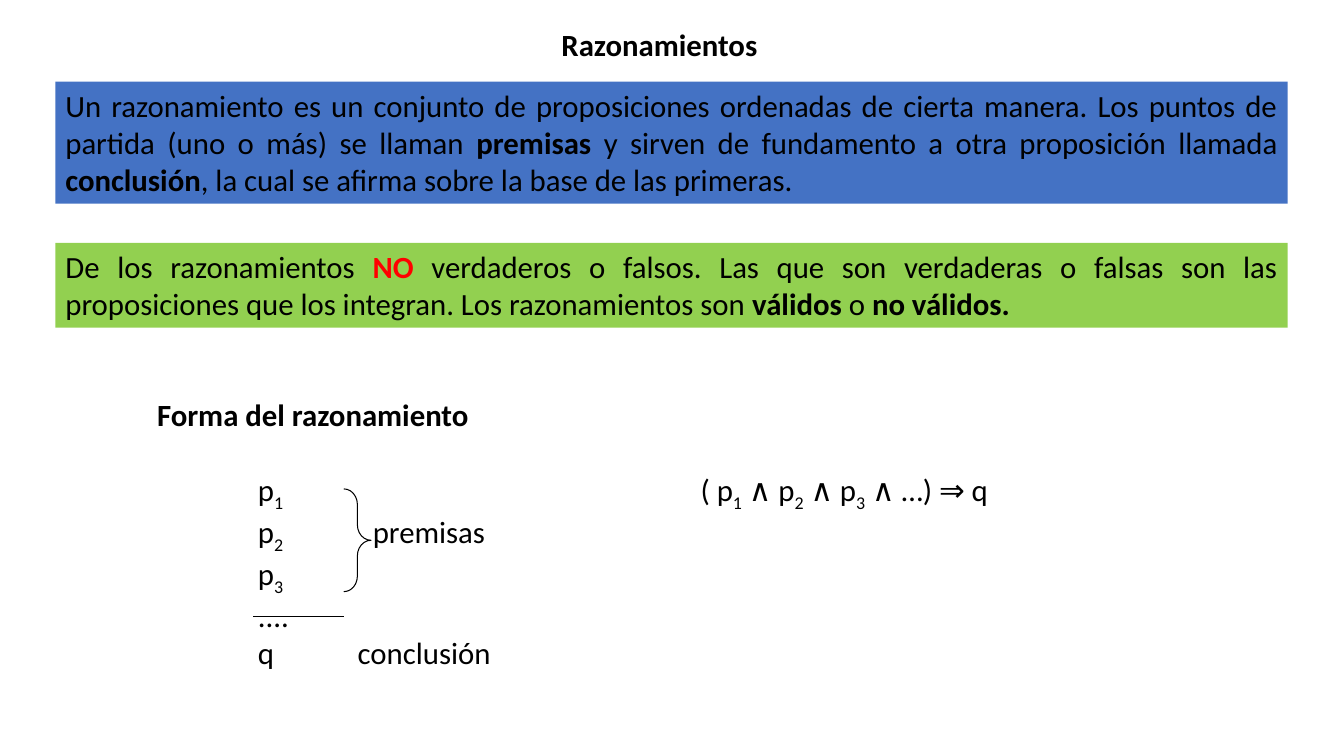
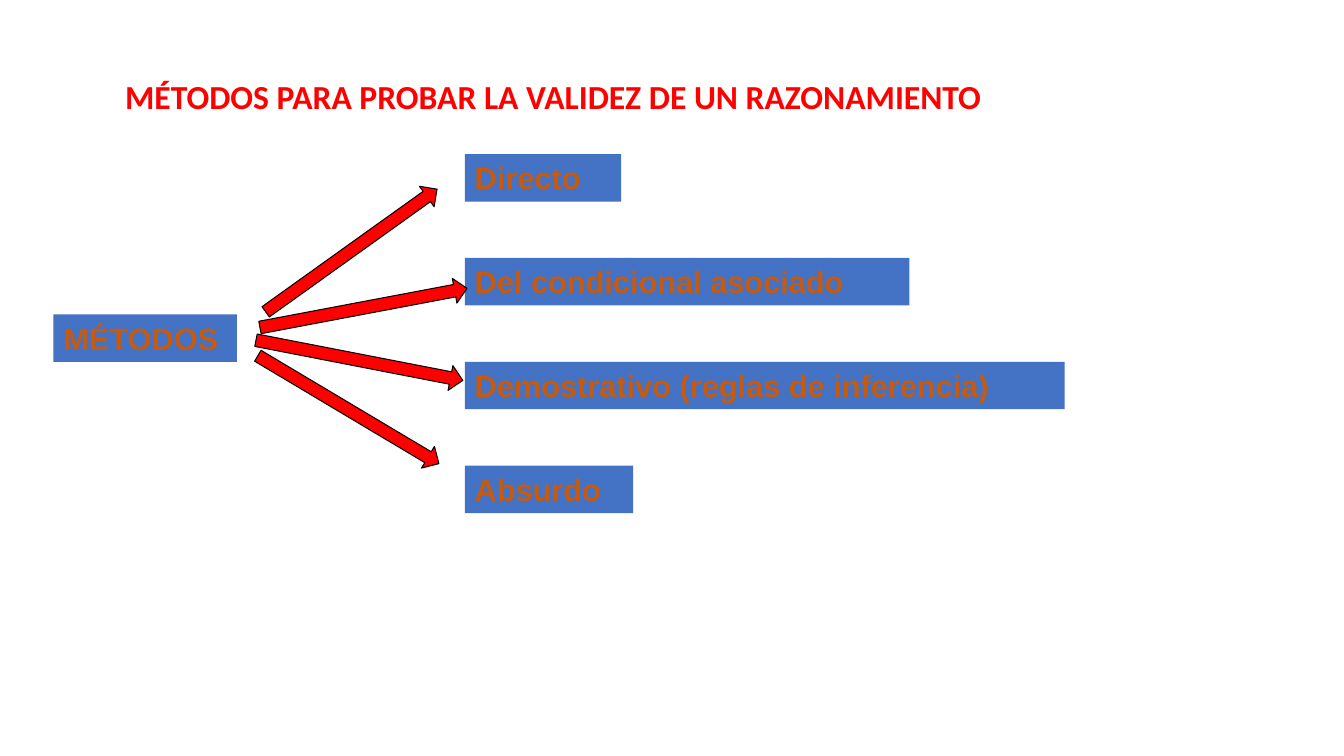
from lxml import etree
from pptx import Presentation
from pptx.dml.color import RGBColor
from pptx.enum import shapes, text
from pptx.oxml import ns
from pptx.util import Inches, Pt

# Shared colours, fonts and text styles
BLACK, RED, BLUE, GREEN, ORANGE = "000000", "FF0000", "4472C4", "92D050", "C55A11"
BODY_FONT, LABEL_FONT = "Calibri", "Arial"
BODY_SIZE = 22
LEFT, CENTER, JUSTIFY = text.PP_ALIGN.LEFT, text.PP_ALIGN.CENTER, text.PP_ALIGN.JUSTIFY
BOLD = {"bold": True}
WARNING = {"bold": True, "color": RED}
SUB = {"subscript": True}


def rgb(hex_color):
    return RGBColor.from_string(hex_color)


def box(left, top, width, height):
    return [Inches(value) for value in (left, top, width, height)]


def write(shape, lines, font=BODY_FONT, size=BODY_SIZE, color=BLACK, bold=False,
          align=LEFT):
    """Fill a shape with lines, each a list of (text, style) runs."""
    frame = shape.text_frame
    frame.word_wrap = True
    frame.auto_size = text.MSO_AUTO_SIZE.NONE
    frame.vertical_anchor = text.MSO_ANCHOR.TOP
    for index, runs in enumerate(lines):
        paragraph = frame.add_paragraph() if index else frame.paragraphs[0]
        paragraph.alignment = align
        paragraph.font.name = font
        paragraph.font.size = Pt(size)
        paragraph.font.bold = bold
        paragraph.font.color.rgb = rgb(color)
        for words, style in runs:
            run = paragraph.add_run()
            run.text = words
            if "bold" in style:
                run.font.bold = style["bold"]
            if "color" in style:
                run.font.color.rgb = rgb(style["color"])
            if "subscript" in style:
                run.font._element.set("baseline", "-25000")


def plain(words):
    return [[(words, {})]]


def indexed(letter, number):
    return [(letter, {}), (str(number), SUB)]


def add_titled_slide(deck, title, place, **style):
    slide = deck.slides.add_slide(deck.slide_layouts[5])
    heading = slide.shapes.title
    heading.left, heading.top, heading.width, heading.height = box(*place)
    write(heading, plain(title), bold=True, **style)
    return slide


def add_text(slide, place, lines, **style):
    write(slide.shapes.add_textbox(*box(*place)), lines, **style)


def add_preset(slide, preset, place, fill=None, line=None):
    shape = slide.shapes.add_shape(preset, *box(*place))
    shape.shadow.inherit = False
    if fill:
        shape.fill.solid()
        shape.fill.fore_color.rgb = rgb(fill)
    else:
        shape.fill.background()
    if line:
        shape.line.color.rgb = rgb(line)
        shape.line.width = Pt(0.75)
    else:
        shape.line.fill.background()
    return shape


def add_panel(slide, place, fill, lines, **style):
    panel = add_preset(slide, shapes.MSO_SHAPE.RECTANGLE, place, fill)
    write(panel, lines, **style)


def add_rule(slide, left, right, y):
    rule = slide.shapes.add_connector(
        shapes.MSO_CONNECTOR.STRAIGHT, Inches(left), Inches(y), Inches(right), Inches(y))
    rule.line.color.rgb = rgb(BLACK)
    rule.line.width = Pt(0.75)
    etree.SubElement(rule._element.spPr, ns.qn("a:effectLst"))


def build_reasoning(deck):
    slide = add_titled_slide(deck, "Razonamientos", (2.23, 0.21, 8.62, 0.47), align=CENTER)

    # Definitions
    add_panel(slide, (0.55, 0.81, 12.22, 1.21), BLUE, [[
        ("Un razonamiento es un conjunto de proposiciones ordenadas de cierta manera. "
         "Los puntos de partida (uno o más) se llaman ", {}),
        ("premisas ", BOLD),
        ("y sirven de fundamento a otra proposición llamada ", {}),
        ("conclusión", BOLD),
        (", la cual se afirma sobre la base de las primeras.", {}),
    ]], align=JUSTIFY)
    add_panel(slide, (0.55, 2.41, 12.22, 0.84), GREEN, [[
        ("De los razonamientos ", {}),
        ("NO", WARNING),
        (" verdaderos o falsos. Las que son verdaderas o falsas son las proposiciones "
         "que los integran. Los razonamientos son ", {}),
        ("válidos", BOLD),
        (" o ", {}),
        ("no válidos.", BOLD),
    ]], align=JUSTIFY)

    # Scheme: premises above the rule, conclusion below
    add_text(slide, (1.46, 3.88, 5, 0.47), plain("Forma del razonamiento"), bold=True)
    premises = [indexed("p", number) for number in (1, 2, 3)]
    add_text(slide, (2.46, 4.62, 0.9, 2.1), premises + plain("....") + plain("q"))
    add_preset(slide, shapes.MSO_SHAPE.RIGHT_BRACE, (3.41, 4.85, 0.27, 1.02),
               line=BLACK).adjustments[0] = 0.57
    add_rule(slide, 2.51, 3.41, 6.12)
    add_text(slide, (3.6, 5.04, 2, 0.47), plain("premisas"))
    add_text(slide, (3.45, 6.24, 2, 0.47), plain("conclusión"))

    # The same form as one implication
    formula = (indexed("( p", 1) + indexed(" ∧ p", 2) + indexed(" ∧ p", 3)
               + [(" ∧ …) ⇒ q", {})])
    add_text(slide, (6.85, 4.62, 4, 0.47), [formula])


def build_methods(deck):
    slide = add_titled_slide(deck, "MÉTODOS PARA PROBAR LA VALIDEZ DE UN RAZONAMIENTO",
                             (1.14, 0.7, 11.05, 0.5), size=24, color=RED)
    label_style = {"font": LABEL_FONT, "color": ORANGE, "bold": True}
    add_panel(slide, (0.53, 3.12, 1.82, 0.47), BLUE, plain("MÉTODOS"), **label_style)

    # Each method: name, label width, arrow left, arrow top, arrow angle
    methods = [
        ("Directo", 1.55, 2.44, 2.36, -35.6),
        ("Del condicional asociado", 4.41, 2.56, 2.93, -10.7),
        ("Demostrativo (reglas de inferencia)", 5.95, 2.52, 3.45, 11),
        ("Absurdo", 1.67, 2.41, 3.94, 30.8),
    ]
    for row, (name, width, _, _, _) in enumerate(methods):
        add_panel(slide, (4.61, 1.53 + 1.03 * row, width, 0.47), BLUE, plain(name),
                  **label_style)
    for _, _, left, top, angle in methods:
        arrow = add_preset(slide, shapes.MSO_SHAPE.RIGHT_ARROW, (left, top, 2.09, 0.25),
                           RED, BLACK)
        arrow.rotation = angle


def main():
    deck = Presentation()
    deck.slide_width, deck.slide_height = Inches(13.33), Inches(7.5)
    build_reasoning(deck)
    build_methods(deck)
    deck.save("out.pptx")


if __name__ == "__main__":
    main()
